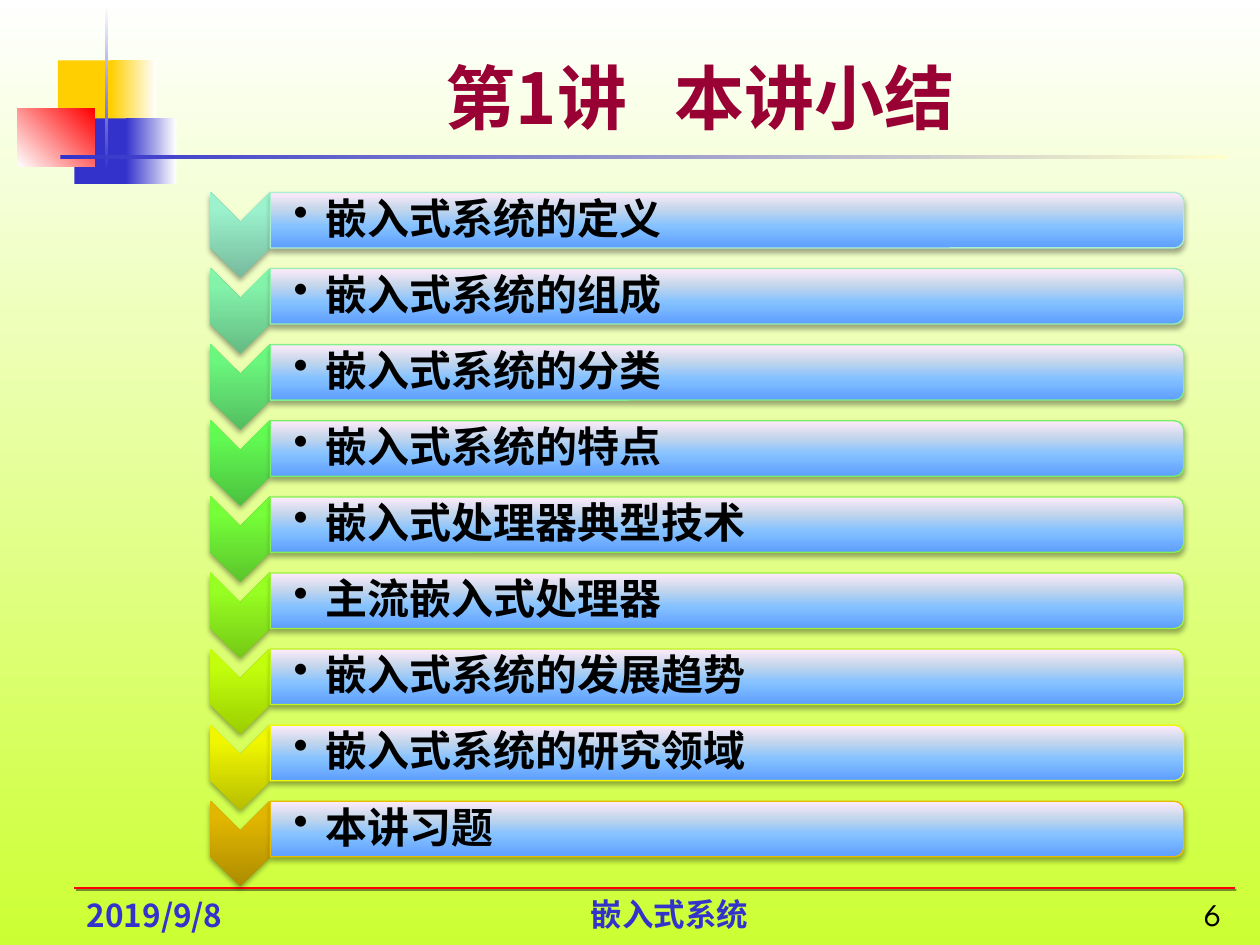
from copy import deepcopy

from lxml import etree
from pptx import Presentation, util as u
from pptx.dml.color import RGBColor
from pptx.enum import shapes, text
from pptx.oxml.ns import qn

COLOURS = {
    "white": "FFFFFF", "lime": "CCFF33", "gold": "FFCF01", "blue": "3333CC",
    "red": "FF0000", "cream": "FFFFCC", "wine": "990033", "black": "000000",
    "charcoal": "1C1C1C",
}
BAR_STOPS = [(0, "5E9EFF"), (0.4, "85C2FF"), (0.7, "C4D6EB"), (1, "FFEBFA")]
SANS = "Noto Sans CJK SC"

# topic, then chevron colours from bottom to top, then bar outline
TOPICS = [
    ("嵌入式系统的定义", "77BA9D", "9BF2CC", "9AF4CD", "AAEFD1"),
    ("嵌入式系统的组成", "65BB83", "83F3AA", "82F7AA", "95EEB4"),
    ("嵌入式系统的分类", "53BE60", "6BF67D", "69FA7B", "7FEE8D"),
    ("嵌入式系统的特点", "4BC13F", "62FA52", "5FFF4F", "75EE68"),
    ("嵌入式处理器典型技术", "5BC52B", "76FF38", "77FF39", "83F051"),
    ("主流嵌入式处理器", "75C915", "98FF22", "98FF23", "9BF239"),
    ("嵌入式系统的发展趋势", "9BCE00", "C3FF0D", "C3FF0E", "C0F51F"),
    ("嵌入式系统的研究领域", "B8BE00", "EFF600", "F0F700", "F1F806"),
    ("本讲习题", "AD8C00", "E1B600", "E2B700", "E7BB01"),
]

deck = Presentation()
deck.slide_width, deck.slide_height = u.Inches(10), u.Inches(7.5)
CELL = deck.slide_width / 100  # grid of 100 columns by 75 rows
slide = deck.slides.add_slide(deck.slide_layouts[6])


def grade(fill, stops, angle):
    """Give a fill a linear gradient; the angle runs clockwise."""
    fill.gradient()
    fill.gradient_angle = -angle % 360
    first = fill.gradient_stops[0]._gs
    for _ in stops[2:]:
        first.addnext(deepcopy(first))
    for stop, (position, colour) in zip(fill.gradient_stops, stops):
        stop.position = position
        stop.color.rgb = RGBColor.from_string(colour)


def write(box, words, size, colour, font, align, anchor, bold=True, bullet=False):
    """Add a one-paragraph text box, placed in grid cells."""
    frame = slide.shapes.add_textbox(*(int(n * CELL) for n in box)).text_frame
    frame.word_wrap = True
    frame.vertical_anchor = anchor
    line = frame.paragraphs[0]
    line.text = words
    line.alignment = align
    if bullet:
        frame.margin_left = int(1.9 * CELL)
        frame.margin_right = frame.margin_top = frame.margin_bottom = int(0.2 * CELL)
        line.line_spacing = 0.9
        properties = line._p.get_or_add_pPr()
        properties.set("marL", str(int(2.5 * CELL)))
        properties.set("indent", str(int(-2.5 * CELL)))
        etree.SubElement(properties, qn("a:buChar"), char="•")
    line.font.size = u.Pt(size)
    line.font.bold = bold
    line.font.name = font
    line.font.color.rgb = RGBColor.from_string(colour)
    defaults = line._p.pPr.find(qn("a:defRPr"))
    etree.SubElement(defaults, qn("a:ea"), typeface=font)
    return line


grade(slide.background.fill, [(0, COLOURS["white"]), (1, COLOURS["lime"])], 90)

# Corner ornament: left, top, width, height, start colour, end colour, angle
ORNAMENT = [
    (4.6, 4.8, 4.8, 5.2, "gold", "gold", 0),
    (8.8, 4.8, 3.6, 5.2, "gold", "white", 0),
    (5.9, 9.4, 4.6, 5.2, "blue", "blue", 0),
    (10, 9.4, 4, 5.2, "blue", "white", 0),
    (1.4, 8.6, 6.1, 4.6, "white", "red", 315),
    (8.3, 0.4, 0.3, 13.1, "white", "blue", 90),
    (4.8, 12.3, 92.7, 0.3, "blue", "cream", 0),
]
for *box, start, end, angle in ORNAMENT:
    block = slide.shapes.add_shape(
        shapes.MSO_SHAPE.RECTANGLE, *(int(n * CELL) for n in box))
    block.shadow.inherit = False
    block.line.fill.background()
    if start == end:
        block.fill.solid()
        block.fill.fore_color.rgb = RGBColor.from_string(COLOURS[start])
    else:
        grade(block.fill, [(0, COLOURS[start]), (1, COLOURS[end])], angle)

footer_y = int(70.5 * CELL)
footer_rule = slide.shapes.add_connector(
    shapes.MSO_CONNECTOR.STRAIGHT, int(5.9 * CELL), footer_y, int(98 * CELL), footer_y)
footer_rule.line.color.rgb = RGBColor.from_string(COLOURS["red"])
footer_rule.line.width = u.Pt(1)

# Shape, then shadow colour, opacity %, blur, distance and direction
raised = [(footer_rule, COLOURS["charcoal"], 50, 0, 1.4, 45)]

PITCH = 6.04
for row, (topic, dark, middle, light, outline) in enumerate(TOPICS):
    top = row * PITCH
    chevron_stops = [(0, dark), (0.8, middle), (1, light)]
    # Both pieces are turned a quarter, so width here is their upright height
    for kind, centre_x, centre_y, width, height, stops in (
        (shapes.MSO_SHAPE.CHEVRON, 19.07, 18.63, 6.8, 4.75, chevron_stops),
        (shapes.MSO_SHAPE.ROUND_2_SAME_RECTANGLE, 57.7, 17.48, 4.4, 72.5, BAR_STOPS),
    ):
        box = (centre_x - width / 2, top + centre_y - height / 2, width, height)
        piece = slide.shapes.add_shape(kind, *(int(n * CELL) for n in box))
        piece.rotation = 90
        grade(piece.fill, stops, 180)
        if stops is BAR_STOPS:
            piece.line.color.rgb = RGBColor.from_string(outline)
            piece.line.width = u.Pt(0.75)
        else:
            piece.line.fill.background()
        raised.append((piece, COLOURS["black"], 35, 3.1, 1.8, 90))
    write((21.4, top + 15.5, 72.3, 4), topic, 24, COLOURS["black"], SANS,
          text.PP_ALIGN.LEFT, text.MSO_ANCHOR.MIDDLE, bullet=True)

for piece, colour, opacity, blur, distance, direction in raised:
    effects = etree.SubElement(piece._element.spPr, qn("a:effectLst"))
    shadow = etree.SubElement(
        effects, qn("a:outerShdw"), blurRad=str(u.Pt(blur)), dist=str(u.Pt(distance)),
        dir=str(direction * 60000), rotWithShape="0")
    tint = etree.SubElement(shadow, qn("a:srgbClr"), val=colour)
    etree.SubElement(tint, qn("a:alpha"), val=str(opacity * 1000))

BOTTOM = text.MSO_ANCHOR.BOTTOM
write((5.9, 69.6, 17.9, 5), "2019/9/8", 18, COLOURS["blue"], SANS,
      text.PP_ALIGN.LEFT, BOTTOM)
write((32.7, 69.5, 40.9, 5), "嵌入式系统", 18, COLOURS["blue"], "Cabin",
      text.PP_ALIGN.CENTER, BOTTOM)
write((88.3, 69.5, 9.6, 5), "6", 18, COLOURS["black"], "League Spartan",
      text.PP_ALIGN.RIGHT, BOTTOM, bold=False)

title = write((15.1, 4.1, 80.9, 7.4), "第1讲", 40, COLOURS["wine"], SANS,
              text.PP_ALIGN.CENTER, BOTTOM)
gap = title.add_run()
gap.text = " "
gap.font._element.set("spc", "1800")  # widen the space between the two parts
title.add_run().text = "本讲小结"

deck.save("out.pptx")
